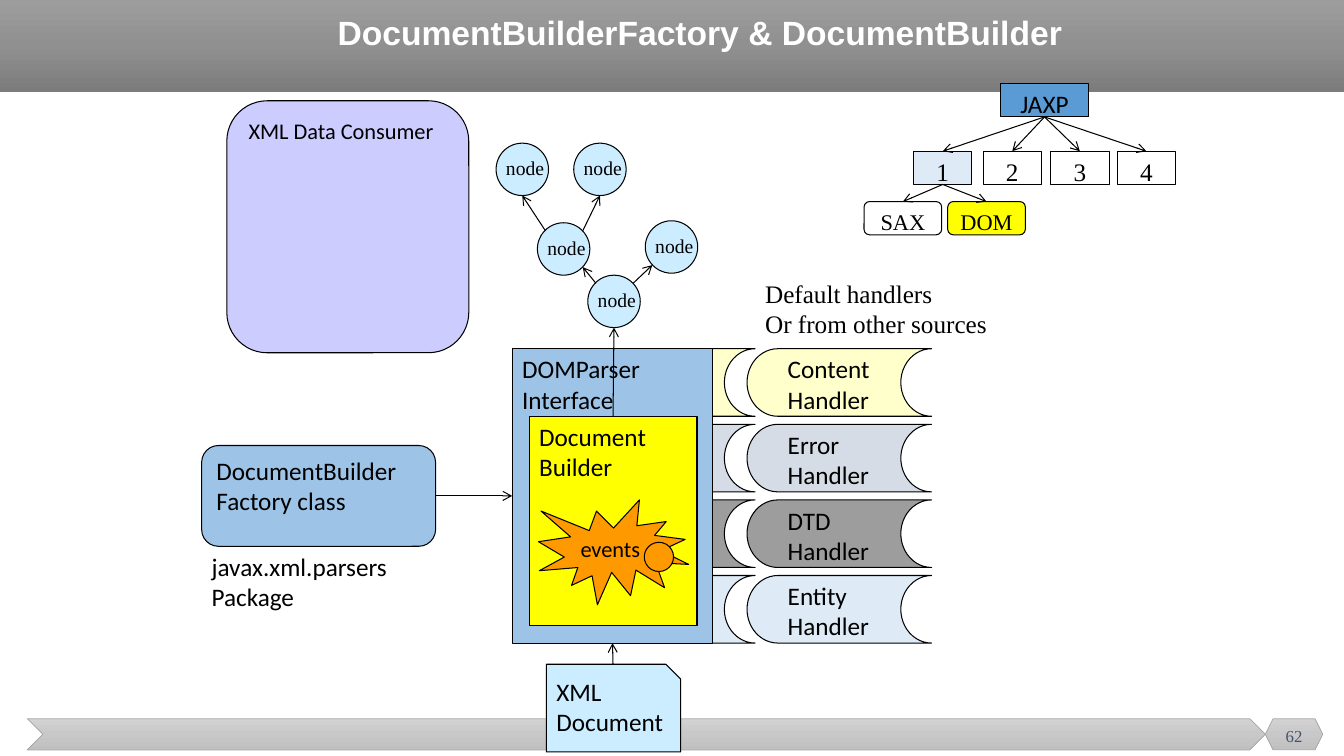
from copy import deepcopy
from typing import Any, NamedTuple

from pptx import Presentation, util as u
from pptx.dml.color import RGBColor
from pptx.enum import shapes, text
from pptx.oxml import ns, parse_xml

EMU_PER_PX = 9144
SANS, SERIF = "Calibri", "Times New Roman"
BLACK, WHITE, YELLOW = "000000", "FFFFFF", "FFFF00"
PALE_BLUE, MID_BLUE, SKY, ORANGE = "DEEBF7", "9DC3E6", "CCECFF", "FF9900"
KIND = shapes.MSO_SHAPE
LEFT, CENTER = text.PP_ALIGN.LEFT, text.PP_ALIGN.CENTER
TOP, MIDDLE = text.MSO_ANCHOR.TOP, text.MSO_ANCHOR.MIDDLE


class Block(NamedTuple):
    name: str
    area: tuple[int, int, int, int]
    kind: Any
    fill: str
    words: str = ""
    size: int = 18
    font: str = SANS
    align: Any = LEFT


class Label(NamedTuple):
    area: tuple[int, int, int, int]
    words: str
    size: int = 18
    font: str = SERIF
    colour: str = BLACK
    align: Any = LEFT
    anchor: Any = TOP
    wrap: bool = False
    bold: bool = False
    spacing: float = 1.0


class Band(NamedTuple):
    area: tuple[int, int, int, int]
    kind: Any
    stops: tuple[str, str, str]
    line: str = ""


class Arrow(NamedTuple):
    start: tuple[int, int]
    end: tuple[int, int]


class Join(NamedTuple):
    source: str
    source_side: int
    target: str
    target_side: int


def px(value: int) -> int:
    return value * EMU_PER_PX


def rgb(value: str) -> RGBColor:
    return RGBColor.from_string(value)


def apply(target: Any, formats: dict[str, Any]) -> None:
    for key, value in formats.items():
        setattr(target, key, value)


def write(frame: Any, words: str, size: int, font: str, colour: str,
          align: Any, bold: bool = False, spacing: float = 1.0) -> None:
    for index, line in enumerate(words.split("\n")):
        para = frame.add_paragraph() if index else frame.paragraphs[0]
        apply(para, {"alignment": align, "line_spacing": spacing})
        span = para.add_run()
        span.text = line
        apply(span.font, {"size": u.Pt(size), "name": font, "bold": bold})
        span.font.color.rgb = rgb(colour)


def outline(shape: Any, colour: str, width: float) -> None:
    shape.line.color.rgb = rgb(colour)
    shape.line.width = u.Pt(width)


def draw_band(page: Any, band: Band) -> None:
    shape = page.shapes.add_shape(band.kind, *map(px, band.area))
    shape.shadow.inherit = False
    shape.fill.gradient()
    shape.fill.gradient_angle = 270
    stop_list = shape._element.spPr.find(ns.qn("a:gradFill")).find(ns.qn("a:gsLst"))
    stop_list.insert(1, deepcopy(stop_list[0]))
    for index, stop in enumerate(shape.fill.gradient_stops):
        stop.position = index / 2
        stop.color.rgb = rgb(band.stops[index])
    if band.line:
        outline(shape, band.line, 0.5)
    else:
        shape.line.fill.background()


def draw_block(page: Any, block: Block) -> Any:
    box = page.shapes.add_shape(block.kind, *map(px, block.area))
    box.shadow.inherit = False
    box.fill.solid()
    box.fill.fore_color.rgb = rgb(block.fill)
    outline(box, BLACK, 0.75)
    if block.words:
        apply(box.text_frame, {"word_wrap": True, "vertical_anchor": TOP})
        write(box.text_frame, block.words, block.size, block.font, BLACK, block.align)
    return box


def draw_label(page: Any, label: Label) -> None:
    box = page.shapes.add_textbox(*map(px, label.area))
    fit = text.MSO_AUTO_SIZE.NONE if label.wrap else text.MSO_AUTO_SIZE.SHAPE_TO_FIT_TEXT
    apply(box.text_frame, {"word_wrap": label.wrap, "auto_size": fit,
                           "vertical_anchor": label.anchor})
    write(box.text_frame, label.words, label.size, label.font, label.colour,
          label.align, label.bold, label.spacing)


def draw_arrow(page: Any, arrow: Arrow) -> Any:
    link = page.shapes.add_connector(
        shapes.MSO_CONNECTOR.STRAIGHT, *map(px, arrow.start + arrow.end))
    outline(link, BLACK, 0.75)
    link.line._get_or_add_ln().append(
        parse_xml(f'<a:tailEnd {ns.nsdecls("a")} type="arrow"/>'))
    link._element.spPr.append(parse_xml(f'<a:effectLst {ns.nsdecls("a")}/>'))
    return link


def draw_join(page: Any, boxes: dict[str, Any], join: Join) -> None:
    link = draw_arrow(page, Arrow((0, 0), (0, 0)))
    link.begin_connect(boxes[join.source], join.source_side)
    link.end_connect(boxes[join.target], join.target_side)


SILVER = ("D2D2D2", "C8C8C8", "C0C0C0")
BANDS = [
    Band((0, 0, 1333, 91), KIND.RECTANGLE, ("9D9D9D", "909090", "7C7C7C")),
    Band((27, 713, 1228, 31), KIND.CHEVRON, SILVER, "A5A5A5"),
    Band((1255, 713, 57, 31), KIND.HEXAGON, SILVER, "A5A5A5"),
]
LABELS = [
    Label((325, 0, 833, 68), "DocumentBuilderFactory & DocumentBuilder", 24, "Arial",
          WHITE, anchor=MIDDLE, wrap=True, bold=True, spacing=0.9),
    Label((1255, 710, 57, 40), "62", 12, colour="44546A", align=CENTER,
          anchor=MIDDLE, wrap=True),
    Label((749, 271, 243, 71), "Default handlers\nOr from other sources"),
    Label((200, 542, 198, 71), "javax.xml.parsers\nPackage", font=SANS),
]
HANDLERS = [("Content Handler", "FFFFCC"), ("Error Handler", "D6DCE5"),
            ("DTD\nHandler", "9D9D9D"), ("Entity\nHandler", PALE_BLUE)]
HANDLER_BLOCKS = [
    Block(f"{role} {row}", (left, 346 + 75 * row, 183, 67),
          KIND.FLOWCHART_STORED_DATA, fill, words if role == "handler" else "")
    for role, left in (("socket", 566), ("handler", 741))
    for row, (words, fill) in enumerate(HANDLERS)
]
PARSER_BLOCKS = [
    Block("consumer", (225, 100, 240, 250), KIND.ROUNDED_RECTANGLE, "CCCCFF",
          "XML Data Consumer", 16),
    Block("document", (542, 659, 133, 87), KIND.SNIP_1_RECTANGLE, SKY, "XML Document"),
    Block("factory", (200, 442, 232, 100), KIND.ROUNDED_RECTANGLE, MID_BLUE,
          "DocumentBuilder Factory class"),
    Block("parser", (508, 346, 199, 292), KIND.RECTANGLE, MID_BLUE, "DOMParser Interface"),
    Block("builder backing", (526, 413, 166, 208), KIND.RECTANGLE, WHITE),
    Block("builder", (525, 413, 166, 208), KIND.RECTANGLE, YELLOW, "Document Builder"),
    Block("events", (534, 496, 149, 104), KIND.EXPLOSION1, ORANGE, "events", 16),
    Block("event port", (639, 538, 29, 29), KIND.FLOWCHART_CONNECTOR, ORANGE),
]
JAXP_BLOCKS = [
    Block("JAXP", (992, 83, 88, 33), KIND.RECTANGLE, "5B9BD5", "JAXP", align=CENTER),
    *(Block(name, (left, 150, 58, 33), KIND.RECTANGLE, PALE_BLUE if name == "1" else WHITE,
            name, 18, SERIF, CENTER)
      for name, left in zip("1234", (906, 975, 1042, 1108))),
    *(Block(name, (left, 200, 77, 33), KIND.ROUNDED_RECTANGLE, fill, name, 16, SERIF, CENTER)
      for name, left, fill in (("SAX", 857, WHITE), ("DOM", 940, YELLOW))),
]
NODES = [(583, 273), (569, 142), (492, 142), (640, 219), (533, 221)]
ARROWS = [
    Arrow((591, 281), (578, 265)),
    Arrow((628, 281), (647, 263)),
    Arrow((541, 229), (518, 194)),
    Arrow((578, 229), (595, 194)),
]
JOINS = [
    Join("factory", 3, "parser", 1),
    *(Join("JAXP", 2, name, 0) for name in "1234"),
    *(Join("1", 2, name, 0) for name in ("SAX", "DOM")),
]


def main() -> None:
    deck = Presentation()
    apply(deck, {"slide_width": px(1333), "slide_height": px(750)})
    page = deck.slides.add_slide(deck.slide_layouts[6])
    for band in BANDS:
        draw_band(page, band)
    boxes = {block.name: draw_block(page, block)
             for block in HANDLER_BLOCKS + PARSER_BLOCKS + JAXP_BLOCKS}
    for left, top in NODES:
        draw_block(page, Block("node", (left, top, 52, 52), KIND.OVAL, SKY))
        draw_label(page, Label((left, top + 8, 58, 34), "node", 14))
    for label in LABELS:
        draw_label(page, label)
    for arrow in ARROWS:
        draw_arrow(page, arrow)
    for join in JOINS:
        draw_join(page, boxes, join)
    draw_arrow(page, Arrow((608, 659), (608, 638))).end_connect(boxes["parser"], 2)
    draw_arrow(page, Arrow((608, 413), (609, 325))).begin_connect(boxes["builder"], 0)
    deck.save("out.pptx")


if __name__ == "__main__":
    main()
